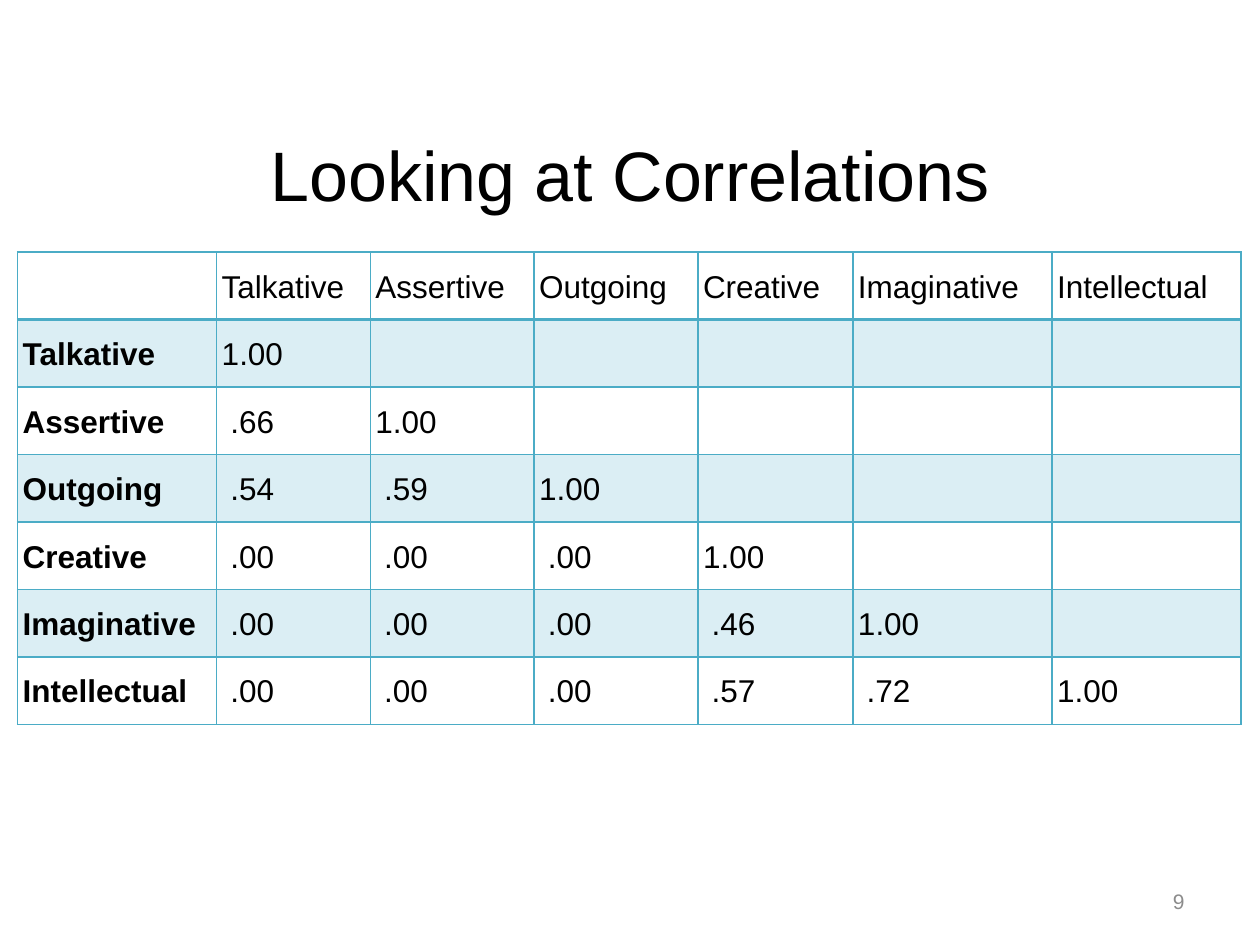
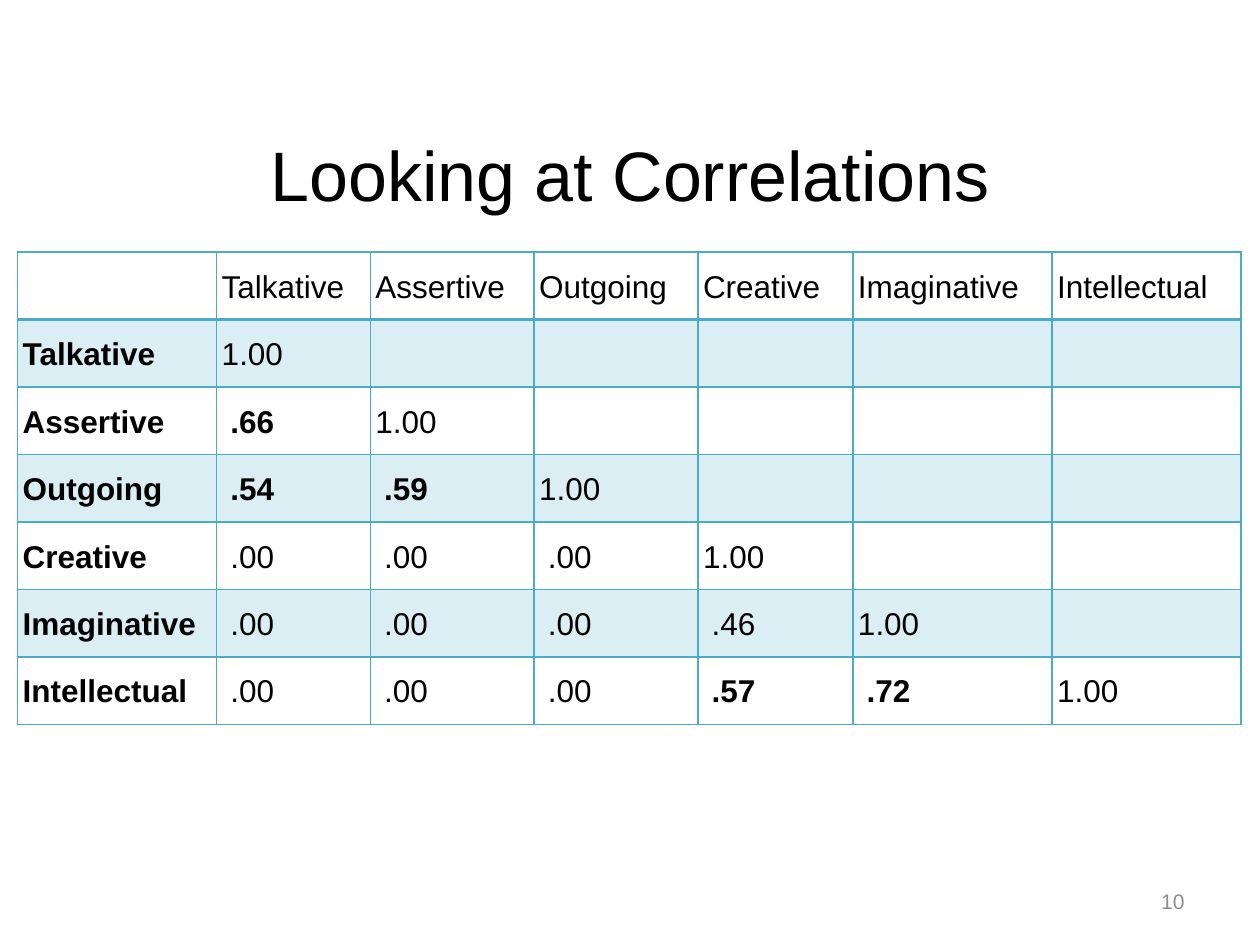
import pptx
import pptx.dml.color
import pptx.enum.text
import pptx.oxml.ns
import pptx.util
from lxml import etree
from pptx.util import Inches

BLACK = pptx.dml.color.RGBColor(0x00, 0x00, 0x00)
GREY = pptx.dml.color.RGBColor(0x8C, 0x8C, 0x8C)
TEAL = pptx.dml.color.RGBColor(0x4B, 0xAC, 0xC6)
PALE_TEAL = pptx.dml.color.RGBColor(0xDB, 0xEE, 0xF4)

CENTER = pptx.enum.text.PP_ALIGN.CENTER
RIGHT = pptx.enum.text.PP_ALIGN.RIGHT

TITLE_FORMAT = {"name": "Arial", "size": pptx.util.Pt(40)}
NUMBER_FORMAT = {"name": "Arial", "size": pptx.util.Pt(12)}
CELL_FORMAT = {"name": "Arial", "size": pptx.util.Pt(18)}
CELL_MARGINS = {
    "margin_left": Inches(0.04),
    "margin_right": Inches(0.04),
    "margin_top": 0,
    "margin_bottom": 0,
}

TRAITS = ["Talkative", "Assertive", "Outgoing", "Creative", "Imaginative", "Intellectual"]
CORRELATIONS = [
    ["1.00"],
    [".66", "1.00"],
    [".54", ".59", "1.00"],
    [".00", ".00", ".00", "1.00"],
    [".00", ".00", ".00", ".46", "1.00"],
    [".00", ".00", ".00", ".57", ".72", "1.00"],
]
COLUMN_WIDTHS = [1.58, 1.22, 1.3, 1.3, 1.23, 1.58, 1.5]
TABLE_HEIGHT = 3.75
STRONG = 0.5

# Header row, then one row per trait filled up to the diagonal
rows = [[""] + TRAITS]
for trait, values in zip(TRAITS, CORRELATIONS):
    shown = [value if value == "1.00" else " " + value for value in values]
    rows.append([trait] + shown + [""] * (len(TRAITS) - len(values)))


def add_label(slide, box, text, alignment, font_format, color):
    """Add a one-line text box, centred vertically."""
    shape = slide.shapes.add_textbox(*[Inches(length) for length in box])
    frame = shape.text_frame
    frame.word_wrap = True
    frame.vertical_anchor = pptx.enum.text.MSO_ANCHOR.MIDDLE
    paragraph = frame.paragraphs[0]
    paragraph.alignment = alignment
    run = paragraph.add_run()
    run.text = text
    for attribute, value in font_format.items():
        setattr(run.font, attribute, value)
    run.font.color.rgb = color


def add_borders(cell, widths):
    """Draw the cell's left, right, top and bottom borders, widths in points."""
    properties = cell._tc.get_or_add_tcPr()
    for side, width in zip("LRTB", widths):
        line = etree.SubElement(properties, pptx.oxml.ns.qn(f"a:ln{side}"),
                                w=str(pptx.util.Pt(width)))
        fill = etree.SubElement(line, pptx.oxml.ns.qn("a:solidFill"))
        etree.SubElement(fill, pptx.oxml.ns.qn("a:srgbClr"), val=str(TEAL))


presentation = pptx.Presentation()
presentation.slide_width = Inches(10)
presentation.slide_height = Inches(7.5)

for slide_number, highlight_strong in [(9, False), (10, True)]:
    slide = presentation.slides.add_slide(presentation.slide_layouts[6])
    add_label(slide, (0.5, 0.75, 9, 1.25), "Looking at Correlations",
              CENTER, TITLE_FORMAT, BLACK)

    table = slide.shapes.add_table(
        len(rows), len(COLUMN_WIDTHS), Inches(0.14), Inches(2),
        Inches(sum(COLUMN_WIDTHS)), Inches(TABLE_HEIGHT)).table
    table.horz_banding = False
    for column, width in zip(table.columns, COLUMN_WIDTHS):
        column.width = Inches(width)

    for row_index, row in enumerate(rows):
        for column_index, text in enumerate(row):
            cell = table.cell(row_index, column_index)
            add_borders(cell, (1, 1, 2 if row_index == 1 else 1, 2 if row_index == 0 else 1))
            if row_index % 2:
                cell.fill.solid()
                cell.fill.fore_color.rgb = PALE_TEAL
            else:
                cell.fill.background()
            if not text:
                continue

            for attribute, value in CELL_MARGINS.items():
                setattr(cell, attribute, value)
            paragraph = cell.text_frame.paragraphs[0]
            paragraph.line_spacing = 1.5
            if row_index > 0:
                paragraph.space_after = pptx.util.Pt(12)
            run = paragraph.add_run()
            run.text = text
            for attribute, value in CELL_FORMAT.items():
                setattr(run.font, attribute, value)
            run.font.color.rgb = BLACK
            is_row_label = row_index > 0 and column_index == 0
            is_strong = 0 < column_index < row_index and float(text) > STRONG
            run.font.bold = is_row_label or (highlight_strong and is_strong)

    add_label(slide, (9, 6.95, 0.5, 0.4), str(slide_number), RIGHT, NUMBER_FORMAT, GREY)

presentation.save("out.pptx")
